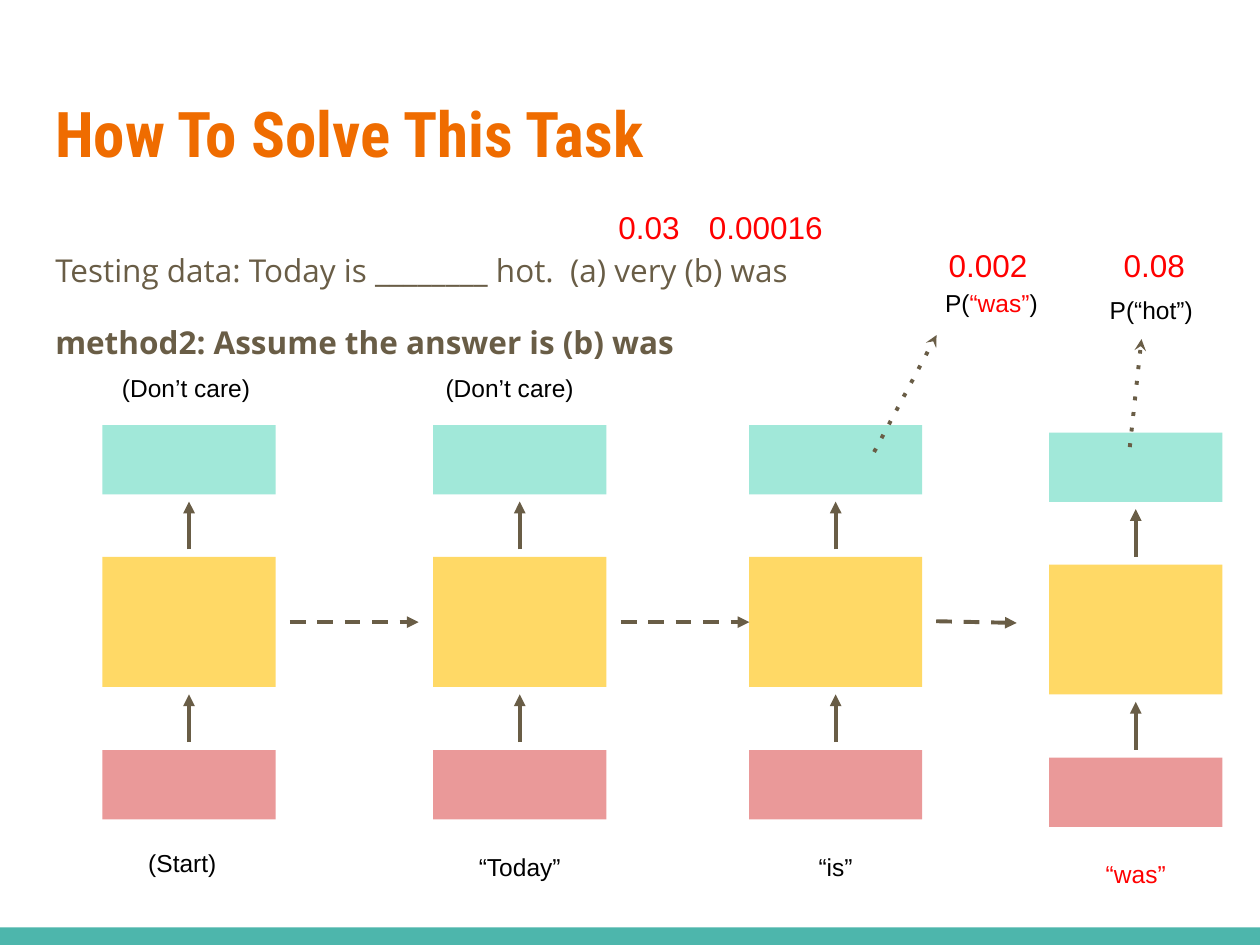
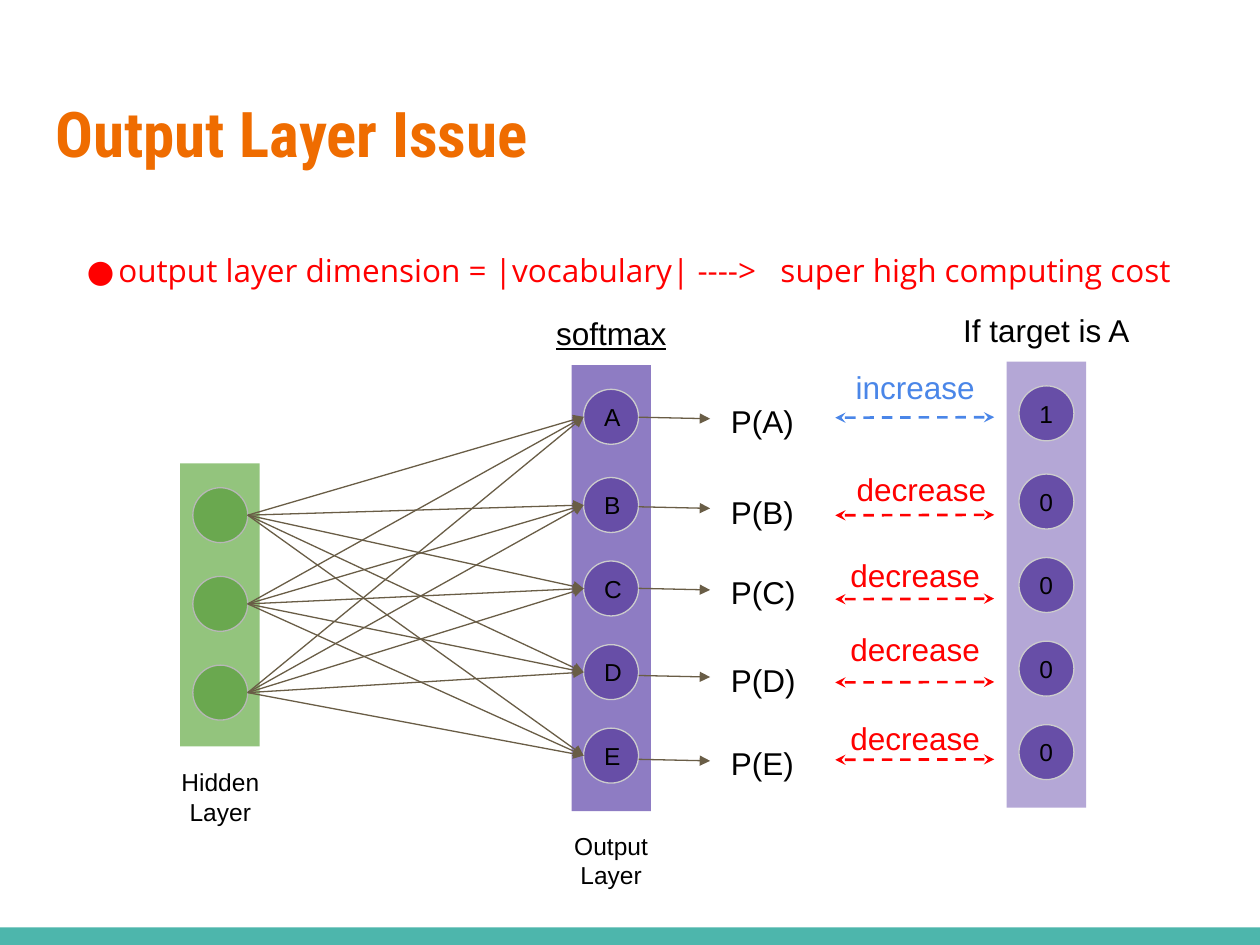
"""Build two slides on predicting a missing word with a language model."""
import pptx
import pptx.dml.color
import pptx.enum.shapes
import pptx.enum.text
import pptx.oxml.ns
import pptx.util
from lxml import etree

Pt = pptx.util.Pt
RGBColor = pptx.dml.color.RGBColor
Shape = pptx.enum.shapes.MSO_SHAPE
Align = pptx.enum.text.PP_ALIGN
Anchor = pptx.enum.text.MSO_ANCHOR
qn = pptx.oxml.ns.qn

BLACK = RGBColor(0x00, 0x00, 0x00)
RED = RGBColor(0xFF, 0x00, 0x00)
BLUE = RGBColor(0x4A, 0x86, 0xE8)
ORANGE = RGBColor(0xEF, 0x6C, 0x00)
BROWN = RGBColor(0x69, 0x5D, 0x46)
FOOTER_TEAL = RGBColor(0x4D, 0xB6, 0xAC)
MINT = RGBColor(0xA1, 0xE8, 0xD9)
YELLOW = RGBColor(0xFF, 0xD9, 0x66)
PINK = RGBColor(0xEA, 0x99, 0x99)
LIGHT_GREEN = RGBColor(0x93, 0xC4, 0x7D)
GREEN = RGBColor(0x6A, 0xA8, 0x4F)
LAVENDER = RGBColor(0xB4, 0xA7, 0xD6)
PURPLE = RGBColor(0x8E, 0x7C, 0xC3)
DARK_PURPLE = RGBColor(0x67, 0x4E, 0xA7)
GRAY = RGBColor(0xB7, 0xB7, 0xB7)
LIGHT_GRAY = RGBColor(0xCC, 0xCC, 0xCC)


def add_item(slide, left, top, width, height, runs=(), kind=None, fill=None,
             outline=None, size=14, font="Arial", bold=False, align=Align.LEFT):
    """Add a filled shape, or a text box when no kind is given, with coloured runs."""
    box = [Pt(value) for value in (left, top, width, height)]
    if kind is None:
        shape = slide.shapes.add_textbox(*box)
    else:
        shape = slide.shapes.add_shape(kind, *box)
        shape.shadow.inherit = False
        shape.fill.solid()
        shape.fill.fore_color.rgb = fill
        if outline is None:
            shape.line.fill.background()
        else:
            shape.line.color.rgb = outline
            shape.line.width = Pt(0.75)
    frame = shape.text_frame
    frame.word_wrap = True
    frame.vertical_anchor = Anchor.TOP if kind is None else Anchor.MIDDLE
    frame.margin_left = frame.margin_right = Pt(7.2)
    frame.margin_top = frame.margin_bottom = Pt(7.2)
    paragraph = frame.paragraphs[0]
    paragraph.alignment = align
    for text, color in runs:
        if text == "\n":
            paragraph.add_line_break()
            continue
        run = paragraph.add_run()
        run.text = text
        run.font.name = font
        run.font.size = Pt(size)
        run.font.bold = bold
        run.font.color.rgb = color
    return shape


def add_arrow(slide, start, end, width=2.25, color=BROWN, dash=None,
              head=None, tail="triangle"):
    """Add a straight arrow between two points."""
    connector = slide.shapes.add_connector(
        pptx.enum.shapes.MSO_CONNECTOR.STRAIGHT, *[Pt(value) for value in start + end])
    connector.line.color.rgb = color
    connector.line.width = Pt(width)
    line = connector.line._get_or_add_ln()
    for tag, value in (("prstDash", dash), ("headEnd", head), ("tailEnd", tail)):
        if value:
            key = "val" if tag == "prstDash" else "type"
            etree.SubElement(line, qn(f"a:{tag}")).set(key, value)
    etree.SubElement(connector._element.spPr, qn("a:effectLst"))


presentation = pptx.Presentation()
presentation.slide_width = Pt(720)
presentation.slide_height = Pt(540)

pages = [
    ("How To Solve This Task",
     [("Testing data: Today is ________ hot.  (a) very (b) was", False),
      ("method2: Assume the answer is (b) was", True)], BROWN, False),
    ("Output Layer Issue",
     [("output layer dimension = |vocabulary| ---->   super high computing cost", False)],
     RED, True),
]
slides = []
for title, body_lines, body_color, bulleted in pages:
    slide = presentation.slides.add_slide(presentation.slide_layouts[6])
    slides.append(slide)
    add_item(slide, 0, 530, 720, 10, kind=Shape.RECTANGLE, fill=FOOTER_TEAL)
    add_item(slide, 24.5, 46.8, 671, 74.2, [(title, ORANGE)], size=36,
             font="Roboto Condensed", bold=True)
    frame = add_item(slide, 24.5, 133.2, 671, 350).text_frame
    frame.auto_size = pptx.enum.text.MSO_AUTO_SIZE.TEXT_TO_FIT_SHAPE
    for number, (text, bold) in enumerate(body_lines):
        paragraph = frame.add_paragraph() if number else frame.paragraphs[0]
        paragraph.line_spacing = 1.15
        paragraph.space_after = Pt(16)
        run = paragraph.add_run()
        run.text = text
        run.font.name = "Open Sans"
        run.font.size = Pt(18)
        run.font.bold = bold
        run.font.color.rgb = body_color
        if bulleted:
            properties = paragraph._p.get_or_add_pPr()
            properties.set("marL", str(Pt(36)))
            properties.set("indent", str(Pt(-18)))
            bullet_color = etree.SubElement(properties, qn("a:buClr"))
            etree.SubElement(bullet_color, qn("a:srgbClr")).set("val", str(body_color))
            etree.SubElement(properties, qn("a:buFont")).set("typeface", "Open Sans")
            etree.SubElement(properties, qn("a:buChar")).set("char", "●")

network_slide, output_slide = slides

CELL_WIDTH = 99
LABEL_HEIGHT = 27.4
layers = [(242.9, 39.6, MINT), (318.3, 74.2, YELLOW), (428.6, 39.6, PINK)]
for left, shift in ((58.5, 0), (247.5, 0), (428, 0), (599.5, 4.3)):
    for top, height, color in layers:
        add_item(network_slide, left, top + shift, CELL_WIDTH, height,
                 kind=Shape.RECTANGLE, fill=color)
    middle = left + CELL_WIDTH / 2
    for start, end in ((313.9, 286.6), (424.1, 396.8)):
        add_arrow(network_slide, (middle, start + shift), (middle, end + shift))

for start, end in (((165.7, 355.5), (239.2, 355.5)), ((354.8, 355.5), (428.2, 355.5)),
                   ((535, 355), (581, 356))):
    add_arrow(network_slide, start, end, dash="dash")
for start, end in (((499.5, 258.3), (535.2, 191.5)), ((645.6, 255.5), (652.3, 193.8))):
    add_arrow(network_slide, start, end, dash="dot", tail="stealth")

for left, top, width, runs, align in (
    (62.6, 206, CELL_WIDTH, [("(Don’t care)", BLACK)], Align.LEFT),
    (247.5, 206, CELL_WIDTH, [("(Don’t care)", BLACK)], Align.LEFT),
    (77.6, 477.6, 61.2, [("(Start)", BLACK)], Align.LEFT),
    (247.5, 479.5, CELL_WIDTH, [("“Today”", BLACK)], Align.CENTER),
    (428, 479.5, CELL_WIDTH, [("“is”", BLACK)], Align.CENTER),
    (599.5, 483.8, CELL_WIDTH, [("“was”", RED)], Align.CENTER),
    (517, 157.5, CELL_WIDTH, [("P(", BLACK), ("“was”", RED), (")", BLACK)], Align.CENTER),
    (608.4, 161.3, CELL_WIDTH, [("P(“hot”)", BLACK)], Align.CENTER),
):
    add_item(network_slide, left, top, width, LABEL_HEIGHT, runs, align=align)

for left, top, width, probability in ((346.3, 111.6, 57.6, "0.03"),
                                      (398, 111.6, 86.4, "0.00016"),
                                      (535, 133.2, 61.2, "0.002"),
                                      (635, 133.2, 57.6, "0.08")):
    add_item(network_slide, left, top, width, LABEL_HEIGHT, [(probability, RED)], size=18)

NODE = 31.4
BAND_WIDTH = 45.4
HIDDEN_LEFT, OUTPUT_LEFT, TARGET_LEFT = 110.2, 333.5, 582.3
hidden_tops = [278.7 + 50.7 * row for row in range(3)]
output_tops = [222.5, 272.9, 320.6, 368.4, 416.1]

add_item(output_slide, 103, 264.8, BAND_WIDTH, 161.7, kind=Shape.RECTANGLE, fill=LIGHT_GREEN)
for top in hidden_tops:
    add_item(output_slide, HIDDEN_LEFT, top, NODE, NODE, kind=Shape.OVAL,
             fill=GREEN, outline=GRAY)

for band_left, band_top, band_color, node_left, shift, values in (
    (326.6, 208.6, PURPLE, OUTPUT_LEFT, 0, "ABCDE"),
    (575.3, 206.7, LAVENDER, TARGET_LEFT, -2, "10000"),
):
    add_item(output_slide, band_left, band_top, BAND_WIDTH, 254.9,
             kind=Shape.RECTANGLE, fill=band_color)
    for top, value in zip(output_tops, values):
        add_item(output_slide, node_left, top + shift, NODE, NODE, [(value, BLACK)],
                 kind=Shape.OVAL, fill=DARK_PURPLE, outline=LIGHT_GRAY)

for hidden_top in hidden_tops:
    for output_top in output_tops:
        add_arrow(output_slide, (HIDDEN_LEFT + NODE, hidden_top + NODE / 2),
                  (OUTPUT_LEFT, output_top + NODE / 2), width=0.75)

for letter, arrow_top, label_top, change_arrow_top, change_left, change_top in (
    ("A", 238.4, 222.5, 238.7, 473, 203),
    ("B", 289.6, 274.3, 294.5, 476.6, 261.6),
    ("C", 336.2, 320.4, 342.4, 473, 310.3),
    ("D", 386, 370.3, 390, 473, 352.8),
    ("E", 433.9, 418.1, 434.2, 473, 403.9),
):
    change, color = ("increase", BLUE) if letter == "A" else ("decrease", RED)
    add_arrow(output_slide, (365, arrow_top), (405.8, arrow_top + 0.9), width=0.75)
    add_item(output_slide, 410.6, label_top, 59, LABEL_HEIGHT,
             [(f"P({letter})", BLACK)], size=18)
    add_arrow(output_slide, (477.3, change_arrow_top), (568.1, change_arrow_top - 0.3),
              width=1.5, color=color, dash="dash", head="stealth", tail="stealth")
    add_item(output_slide, change_left, change_top, 100, LABEL_HEIGHT,
             [(change, color)], size=18, align=Align.CENTER)

softmax = add_item(output_slide, 304.6, 172.1, 89.3, LABEL_HEIGHT, [("softmax", BLACK)],
                   size=18, align=Align.CENTER)
softmax.text_frame.paragraphs[0].runs[0].font.underline = True
add_item(output_slide, 537.8, 170.6, 120.2, 31.7, [("If target is A", BLACK)],
         size=18, align=Align.CENTER)
add_item(output_slide, 87, 431.3, 77.8, 41.8, [("Hidden Layer", BLACK)], align=Align.CENTER)
add_item(output_slide, 310.3, 467.5, 77.8, 41.8,
         [("Output", BLACK), ("\n", BLACK), ("Layer", BLACK)], align=Align.CENTER)

presentation.save("out.pptx")
